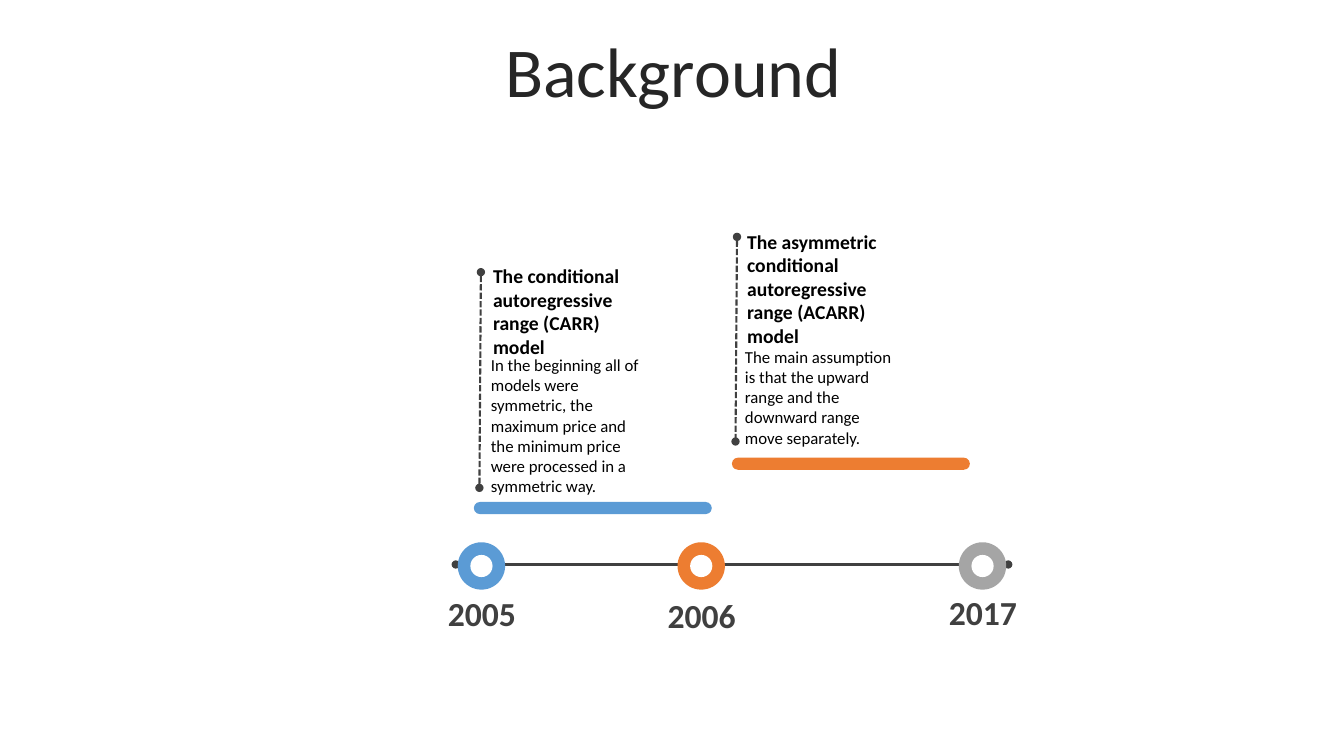
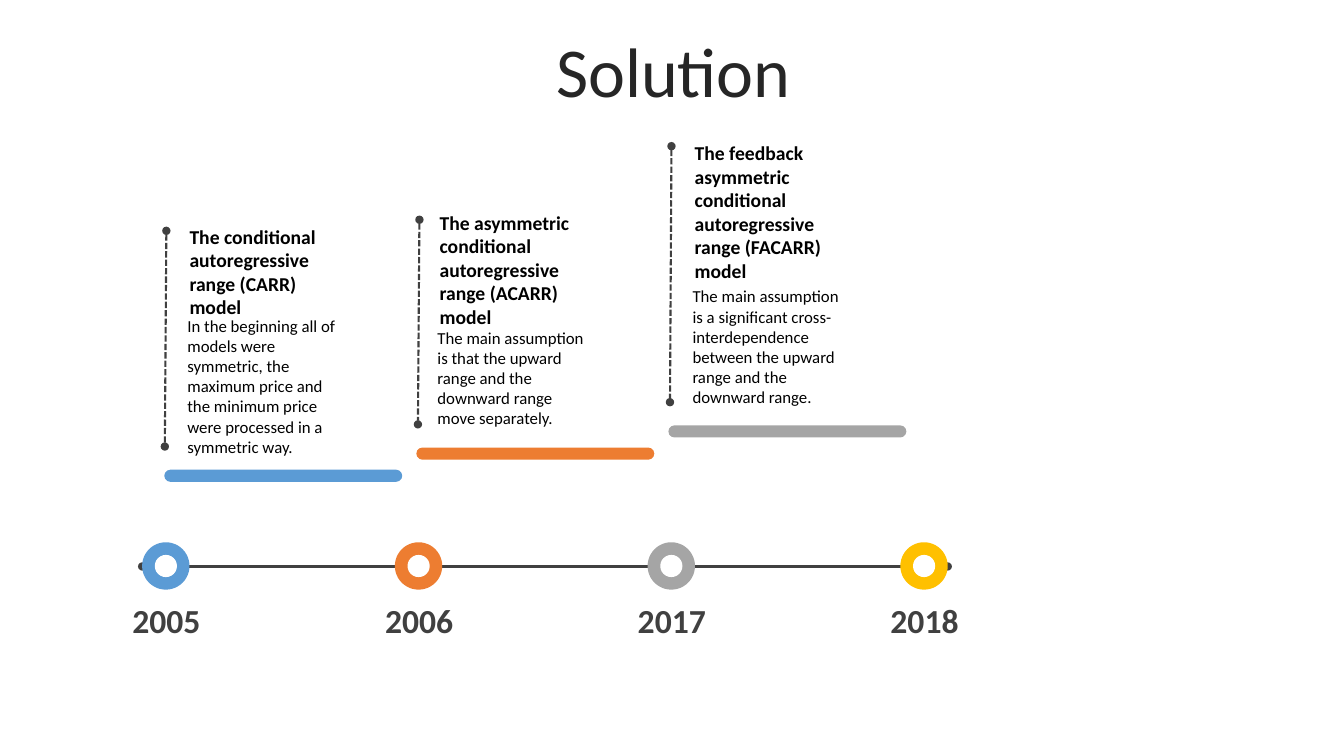
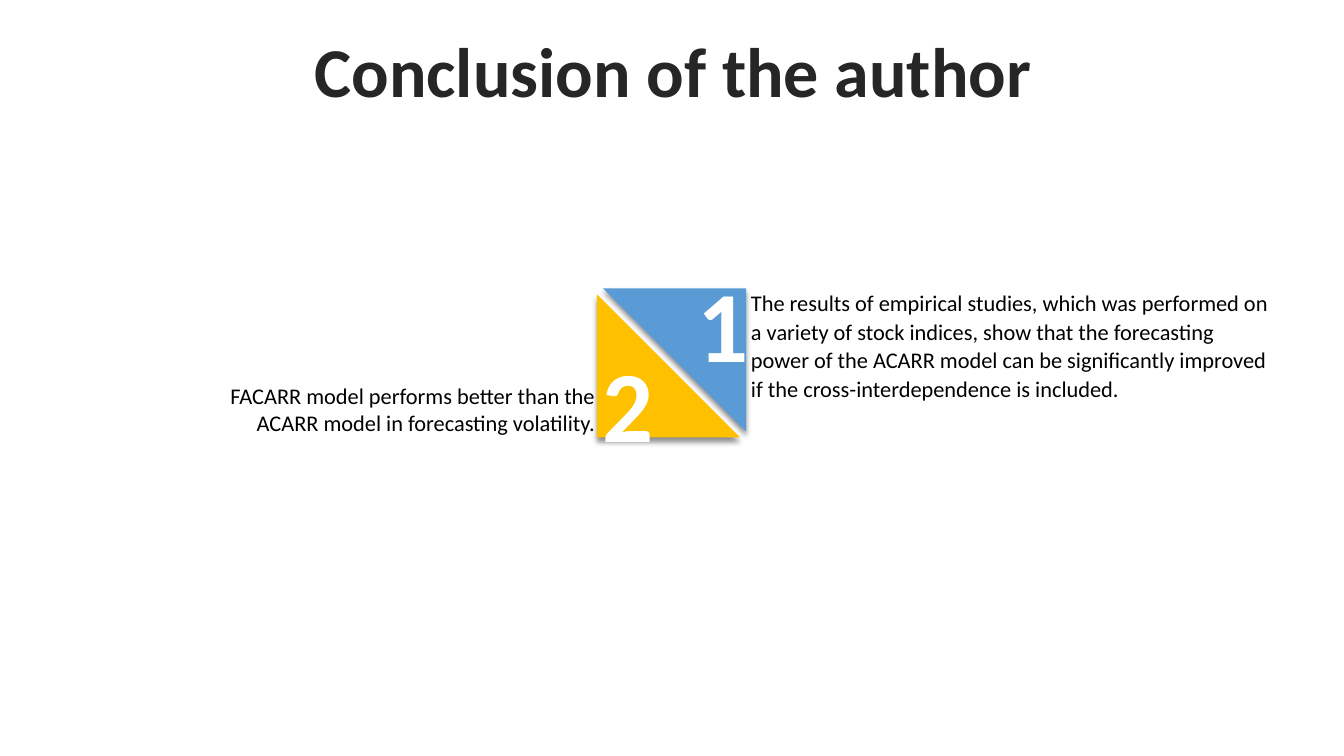
from lxml.etree import SubElement
from pptx import Presentation
from pptx.dml.color import RGBColor
from pptx.enum.dml import MSO_LINE
from pptx.enum.shapes import MSO_CONNECTOR, MSO_SHAPE
from pptx.enum.text import MSO_ANCHOR, MSO_AUTO_SIZE, PP_ALIGN
from pptx.oxml.ns import qn
from pptx.util import Pt

PX = 9144
FONT = "Calibri"
COLORS = {
    "title": "262626",
    "dark": "404040",
    "text": "000000",
    "white": "FFFFFF",
    "blue": "5B9BD5",
    "orange": "ED7D31",
    "gray": "A5A5A5",
    "gold": "FFC000",
}
TITLE_BOX = (35, 37, 1266, 79)
NODE, HOLE = 47, 22
BAR_W, BAR_H = 236, 12

MODELS = {
    "CARR": dict(
        color="blue", body_gap=90, spine=214,
        head="The conditional autoregressive range (CARR) model",
        body="In the beginning all of models were symmetric, the maximum price "
             "and the minimum price were processed in a symmetric way."),
    "ACARR": dict(
        color="orange", body_gap=116, spine=203,
        head="The asymmetric conditional autoregressive range (ACARR) model",
        body="The main assumption is that the upward range and the downward "
             "range move separately."),
    "FACARR": dict(
        color="gray", body_gap=144, spine=254,
        head="The feedback asymmetric conditional autoregressive range (FACARR) model",
        body="The main assumption is a significant cross-interdependence between "
             "the upward range and the downward range."),
}


def rgb(name):
    return RGBColor.from_string(COLORS[name])


def emu(*lengths):
    return [round(v * PX) for v in lengths]


def add_run(p, text, size, color, bold=False):
    r = p.add_run()
    r.text = text
    r.font.name = FONT
    r.font.size = Pt(size)
    r.font.bold = bold
    r.font.color.rgb = rgb(color)


def add_text(s, box, text, size, color="text", bold=False,
             align=PP_ALIGN.LEFT, insets=(10, 5)):
    sp = s.shapes.add_textbox(*emu(*box))
    tf = sp.text_frame
    tf.word_wrap = True
    tf.auto_size = MSO_AUTO_SIZE.SHAPE_TO_FIT_TEXT
    tf.margin_left = tf.margin_right = insets[0] * PX
    tf.margin_top = tf.margin_bottom = insets[1] * PX
    p = tf.paragraphs[0]
    p.alignment = align
    add_run(p, text, size, color, bold)
    return p


def add_solid(s, kind, box, color):
    sp = s.shapes.add_shape(kind, *emu(*box))
    sp.shadow.inherit = False
    sp.fill.solid()
    sp.fill.fore_color.rgb = rgb(color)
    sp.line.fill.background()
    return sp


def add_dotted_end_line(s, x1, y1, x2, y2, width, dash=None):
    line = s.shapes.add_connector(MSO_CONNECTOR.STRAIGHT, *emu(x1, y1, x2, y2))
    line.line.color.rgb = rgb("dark")
    line.line.width = Pt(width)
    if dash:
        line.line.dash_style = dash
    sp_pr = line._element.spPr
    ln = sp_pr.find(qn("a:ln"))
    for end in ("a:headEnd", "a:tailEnd"):
        SubElement(ln, qn(end), type="oval")
    SubElement(sp_pr, qn("a:effectLst"))


def add_drop_shadow(sp):
    effects = sp._element.spPr.find(qn("a:effectLst"))
    shadow = SubElement(effects, qn("a:outerShdw"), blurRad=str(Pt(4)),
                        dist=str(Pt(3)), dir="5400000", algn="t", rotWithShape="0")
    color = SubElement(shadow, qn("a:srgbClr"), val=COLORS["text"])
    SubElement(color, qn("a:alpha"), val="43000")


def add_titled_slide(prs, title, bold=False):
    s = prs.slides.add_slide(prs.slide_layouts[5])
    sp = s.shapes.title
    sp.left, sp.top, sp.width, sp.height = emu(*TITLE_BOX)
    tf = sp.text_frame
    tf.word_wrap = True
    tf.auto_size = MSO_AUTO_SIZE.NONE
    tf.vertical_anchor = MSO_ANCHOR.MIDDLE
    p = tf.paragraphs[0]
    p.alignment = PP_ALIGN.CENTER
    p.line_spacing = 0.8
    p.space_before = Pt(10)
    add_run(p, title, 50, "title", bold)
    return s


def add_milestone(s, x, y, year, color, label_gap):
    inset = (NODE - HOLE) / 2
    add_solid(s, MSO_SHAPE.OVAL, (x, y, NODE, NODE), color)
    add_solid(s, MSO_SHAPE.OVAL, (x + inset, y + inset, HOLE, HOLE), "white")
    add_text(s, (x - 36, y + label_gap, 120, 40), year, 24, "dark", True,
             PP_ALIGN.CENTER, (0, 0))


def add_timeline(s, left, right, axis_y, milestones):
    add_dotted_end_line(s, left, axis_y, right, axis_y, 1.75)
    for x, year, color, label_gap in milestones:
        add_milestone(s, x, 538, year, color, label_gap)


def add_callout(s, model, text_at, spine_at, bar_at):
    m = MODELS[model]
    x, y = text_at
    add_solid(s, MSO_SHAPE.ROUNDED_RECTANGLE, (*bar_at, BAR_W, BAR_H),
              m["color"]).adjustments[0] = 0.5
    add_text(s, (x, y + m["body_gap"], 172, 111), m["body"], 12)
    add_text(s, (x, y, 173, m["body_gap"] + 12), m["head"], 14, bold=True,
             insets=(12, 5))
    sx, sy = spine_at
    add_dotted_end_line(s, sx, sy, sx - 1.5, sy + m["spine"], 1.5,
                        MSO_LINE.SQUARE_DOT)


def add_split_square(s, x, y):
    side, gap = 142, 6
    for dx, dy, turn, color in ((0, gap, 0, "gold"), (gap, 0, 180, "blue")):
        sp = add_solid(s, MSO_SHAPE.RIGHT_TRIANGLE,
                       (x + dx, y + dy, side, side), color)
        sp.rotation = turn
        add_drop_shadow(sp)
    for dx, dy, digit in ((88, -31, "1"), (-6, 48, "2")):
        add_text(s, (x + dx, y + dy, 67, 131), digit, 72, "white", True,
                 PP_ALIGN.CENTER, (12, 5))


def build_background(prs):
    s = add_titled_slide(prs, "Background")
    add_timeline(s, 452, 1000, 560, (
        (454, "2005", "blue", 50),
        (672, "2006", "orange", 52),
        (951, "2017", "gray", 49)))
    add_callout(s, "CARR", (477, 257), (477, 270), (470, 498))
    add_callout(s, "ACARR", (729, 223), (731, 235), (726, 454))


def build_solution(prs):
    s = add_titled_slide(prs, "Solution")
    years = (("2005", "blue"), ("2006", "orange"), ("2017", "gray"), ("2018", "gold"))
    first, last = 141, 893
    step = (last - first) / (len(years) - 1)
    add_timeline(s, first, last + NODE, 562, [
        (first + i * step, year, color, 57)
        for i, (year, color) in enumerate(years)])
    add_callout(s, "CARR", (176, 218), (165, 229), (163, 466))
    add_callout(s, "ACARR", (424, 204), (416, 218), (413, 444))
    add_callout(s, "FACARR", (677, 135), (666, 145), (663, 422))


def build_conclusion(prs):
    s = add_titled_slide(prs, "Conclusion of the author", True)
    add_split_square(s, 592, 286)
    add_text(s, (154, 374, 446, 64),
             "FACARR model performs better than the ACARR model in forecasting "
             "volatility.", 16, align=PP_ALIGN.RIGHT)
    p = add_text(s, (735, 280, 535, 124),
                 "The results of empirical studies, which was performed on a variety "
                 "of stock indices, show that the forecasting power of the ACARR model "
                 "can be significantly improved if the cross-interdependence is "
                 "included.", 16)
    p.line_spacing = 1.07
    p.space_after = Pt(8)


def main():
    prs = Presentation()
    prs.slide_width, prs.slide_height = emu(1333, 750)
    build_background(prs)
    build_solution(prs)
    build_conclusion(prs)
    prs.save("out.pptx")


if __name__ == "__main__":
    main()
